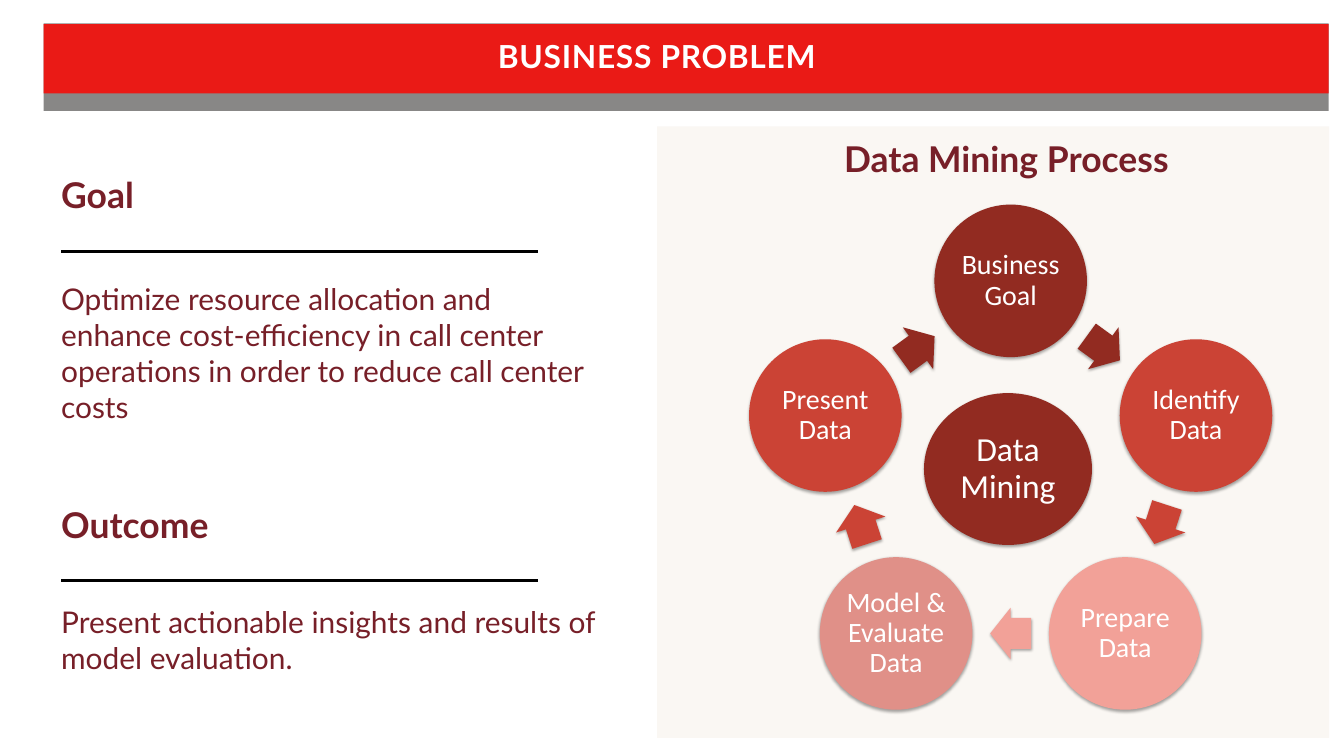
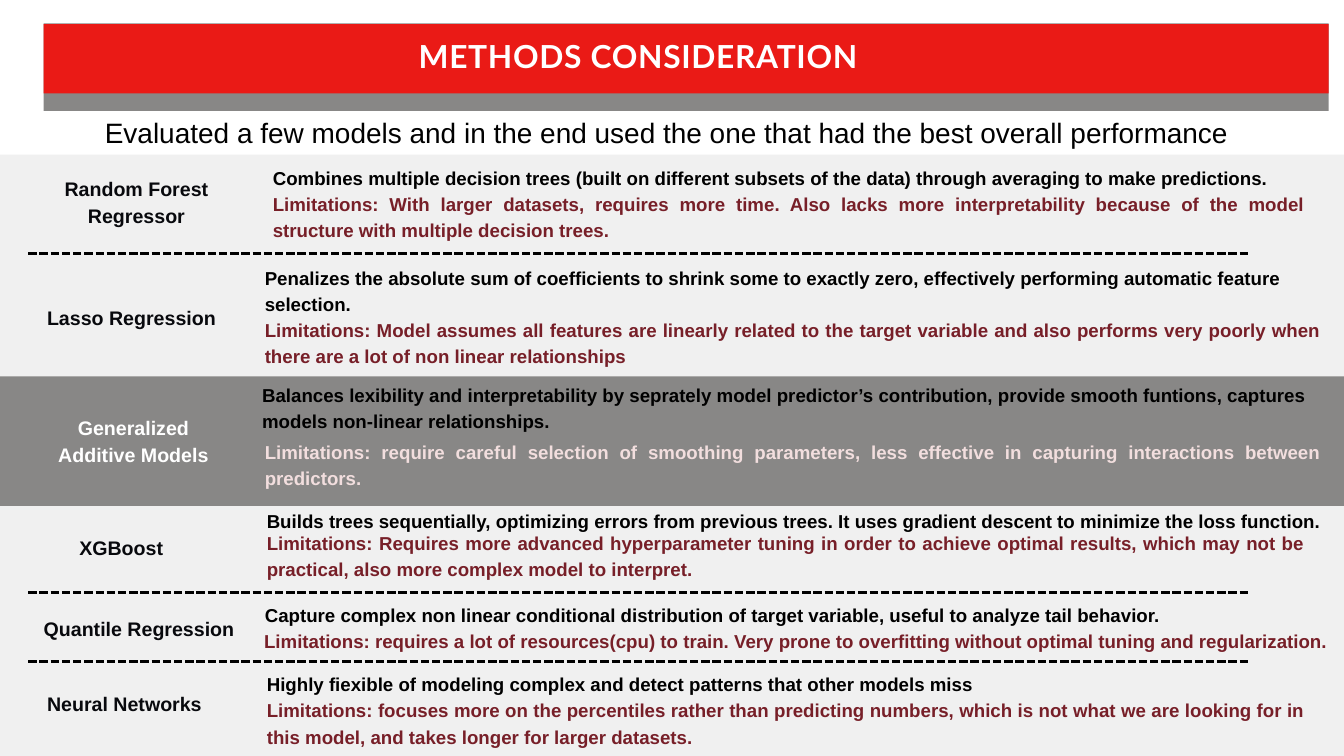
from dataclasses import dataclass
from math import cos, radians, sin

from lxml import etree
from pptx import Presentation
from pptx import util as u
from pptx.dml.color import RGBColor
from pptx.enum import dml, shapes, text
from pptx.oxml import ns

Inches, Pt = u.Inches, u.Pt
RED, GRAY, WHITE, BLACK = "EA1A16", "888786", "FFFFFF", "000000"
MAROON, CREAM, PALE, INK, BLUSH = "771F28", "FAF7F3", "F0F0F0", "08090D", "F2DEDE"
BRICK, CORAL, SALMON, ROSE = "922B21", "CB4335", "F2A198", "E09088"
LEFT, CENTER, JUSTIFY = text.PP_ALIGN.LEFT, text.PP_ALIGN.CENTER, text.PP_ALIGN.JUSTIFY


@dataclass
class Method:
    top: float
    name: str
    name_box: tuple
    summary: str
    summary_box: tuple
    limits: str
    limits_box: tuple
    chosen: bool = False
    rule_above: bool = True


METHODS = [
    Method(2.3, "Random Forest Regressor", (0.95, 0.27, 2.16, 0.85),
           "Combines multiple decision trees (built on different subsets of the data) "
           "through averaging to make predictions.", (4.06, 0.12, 15.13, 0.41),
           "Limitations: With larger datasets, requires more time. Also lacks more "
           "interpretability because of the model structure with multiple decision trees.",
           (4.06, 0.51, 15.36, 0.8), rule_above=False),
    Method(3.77, "Lasso Regression", (0.7, 0.73, 2.67, 0.44),
           "Penalizes the absolute sum of coefficients to shrink some to exactly zero, "
           "effectively performing automatic feature selection.", (3.94, 0.14, 15.44, 0.8),
           "Limitations: Model assumes all features are linearly related to the target variable "
           "and also performs very poorly when there are a lot of non linear relationships",
           (3.94, 0.92, 15.72, 0.8)),
    Method(5.6, "Generalized Additive Models", (0.65, 0.53, 2.67, 0.85),
           "Balances lexibility and interpretability by seprately model predictor’s contribution, "
           "provide smooth funtions, captures models non-linear relationships.",
           (3.9, 0.05, 15.82, 0.8),
           "Limitations: require careful selection of smoothing parameters, less effective in "
           "capturing interactions between predictors.",
           (3.94, 0.9, 15.72, 0.8), chosen=True, rule_above=False),
    Method(7.53, "XGBoost", (1.18, 0.39, 1.62, 0.44),
           "Builds trees sequentially, optimizing errors from previous trees. It uses gradient "
           "descent to minimize the loss function.", (3.97, 0, 15.8, 0.41),
           "Limitations: Requires more advanced hyperparameter tuning in order to achieve optimal "
           "results, which may not be practical, also more complex model to interpret.",
           (3.97, 0.33, 15.45, 0.8), rule_above=False),
    Method(8.82, "Quantile Regression", (0.65, 0.3, 3.79, 0.44),
           "Capture complex non linear conditional distribution of target variable, useful to "
           "analyze tail behavior.", (3.94, 0.11, 14.89, 0.41),
           "Limitations: requires a lot of resources(cpu) to train. Very prone to overfitting "
           "without optimal tuning and regularization.", (3.93, 0.5, 15.89, 0.41)),
    Method(9.84, "Neural Networks", (0.7, 0.4, 3.79, 0.44),
           "Highly fiexible of modeling complex and detect patterns that other models miss",
           (3.97, 0.12, 14.89, 0.41),
           "Limitations: focuses more on the percentiles rather than predicting numbers, which is "
           "not what we are looking for in this model, and takes longer for larger datasets.",
           (3.97, 0.51, 15.45, 0.8)),
]

STEPS = [
    ("Business Goal", BRICK, BRICK),
    ("Identify Data", CORAL, CORAL),
    ("Prepare Data", SALMON, SALMON),
    ("Model & Evaluate Data", ROSE, CORAL),
    ("Present Data", CORAL, BRICK),
]


def color(value):
    return RGBColor.from_string(value)


def add_filled(slide, kind, box, fill):
    shape = slide.shapes.add_shape(kind, *map(Inches, box))
    shape.shadow.inherit = False
    shape.fill.solid()
    shape.fill.fore_color.rgb = color(fill)
    shape.line.fill.background()
    return shape


def add_band(slide, box, fill):
    return add_filled(slide, shapes.MSO_SHAPE.RECTANGLE, box, fill)


def add_soft_shadow(shape):
    effects = shape._element.spPr.find(ns.qn("a:effectLst"))
    shadow = etree.SubElement(effects, ns.qn("a:outerShdw"), blurRad=str(Pt(3.1)),
                              dist=str(Pt(1.8)), dir="5400000", rotWithShape="0")
    tint = etree.SubElement(shadow, ns.qn("a:srgbClr"), val=BLACK)
    etree.SubElement(tint, ns.qn("a:alpha"), val="35000")


def fill_frame(frame, words, font, size, ink, inset=0, bold=False, align=LEFT, spacing=None):
    frame.word_wrap = True
    frame.margin_left = frame.margin_right = Inches(inset)
    frame.margin_top = frame.margin_bottom = Inches(inset)
    paragraph = frame.paragraphs[0]
    paragraph.add_run().text = words
    paragraph.alignment = align
    paragraph.line_spacing = spacing
    paragraph.font.name = font
    paragraph.font.size = Pt(size)
    paragraph.font.bold = bold
    paragraph.font.color.rgb = color(ink)
    return paragraph


def add_text(slide, box, words, font, size, ink, leading, bold=False, align=LEFT):
    frame = slide.shapes.add_textbox(*map(Inches, box)).text_frame
    frame.auto_size = text.MSO_AUTO_SIZE.SHAPE_TO_FIT_TEXT
    return fill_frame(frame, words, font, size, ink, 0, bold, align, Pt(leading))


def add_heading(slide, box, words):
    add_text(slide, box, words, "Lato", 38, MAROON, 45.6, bold=True)


def add_rule(slide, left, top, width, dash=None):
    rule = slide.shapes.add_connector(shapes.MSO_CONNECTOR.STRAIGHT, Inches(left), Inches(top),
                                      Inches(left + width), Inches(top))
    rule.line.color.rgb = color(BLACK)
    rule.line.width = Pt(3)
    if dash:
        rule.line.dash_style = dash
    etree.SubElement(rule._element.spPr, ns.qn("a:effectLst"))


def add_header(slide, box, title, title_left, title_width):
    left, top, width, height = box
    add_band(slide, box, GRAY)
    add_band(slide, (left, top + 0.01, width, height - 0.27), RED)
    paragraph = add_text(slide, (title_left, top + 0.33, title_width, 0.48), title,
                         "Lato", 34, WHITE, 31.3, bold=True)
    paragraph.runs[0].font._element.set("spc", "80")


def add_statement(slide, box, heading, words, rule_gap, words_gap):
    left, top, width, height = box
    add_heading(slide, (left, top, width, 0.64), heading)
    add_rule(slide, left, top + rule_gap, 7.1)
    add_text(slide, (left, top + words_gap, width, height - words_gap), words,
             "Lato", 32, MAROON, 38.4)


def add_disc(slide, center_x, center_y, width, height, words, size, fill, inset):
    box = (center_x - width / 2, center_y - height / 2, width, height)
    disc = add_filled(slide, shapes.MSO_SHAPE.OVAL, box, fill)
    add_soft_shadow(disc)
    disc.text_frame.vertical_anchor = text.MSO_ANCHOR.MIDDLE
    fill_frame(disc.text_frame, words, "Calibri", size, WHITE, inset, align=CENTER, spacing=0.9)


def add_step_arrow(slide, center_x, center_y, angle, fill):
    width, height = 0.61, 0.77
    box = (center_x - width / 2, center_y - height / 2, width, height)
    arrow = add_filled(slide, shapes.MSO_SHAPE.RIGHT_ARROW, box, fill)
    arrow.adjustments[0], arrow.adjustments[1] = 0.6, 0.5
    arrow.rotation = angle
    add_soft_shadow(arrow)


def add_process(slide, box):
    left, top, width, height = box
    add_band(slide, box, CREAM)
    hub_x, hub_y, radius = left + 5.26, top + 5.2, 2.9
    turn = 360 / len(STEPS)
    arrow_radius = radius * cos(radians(turn / 2))

    def on_circle(distance, angle):
        return (hub_x + distance * sin(radians(angle)), hub_y - distance * cos(radians(angle)))

    for index, (words, fill, arrow_fill) in enumerate(STEPS):
        angle = index * turn
        add_disc(slide, *on_circle(radius, angle), 2.27, 2.27, words, 30, fill, 0.04)
        angle += turn / 2
        add_step_arrow(slide, *on_circle(arrow_radius, angle), angle, arrow_fill)
    add_disc(slide, left + 5.22, top + 5.1, 2.5, 2.26, "Data Mining", 36, BRICK, 0.02)
    add_heading(slide, (left + 2.78, top + 0.16, 5.35, 0.61), "Data Mining Process")


def add_method(slide, method):
    def placed(box):
        left, offset, width, height = box
        return left, method.top + offset, width, height

    if method.rule_above:
        add_rule(slide, 0.42, method.top, 18.18, dml.MSO_LINE.SQUARE_DOT)
    name_align = CENTER if method.name_box[3] > 0.5 else JUSTIFY
    add_text(slide, placed(method.name_box), method.name, "Arial", 21,
             WHITE if method.chosen else INK, 29.4, bold=True, align=name_align)
    add_text(slide, placed(method.summary_box), method.summary, "Arial", 20, BLACK, 28, bold=True)
    add_text(slide, placed(method.limits_box), method.limits, "Arial", 20,
             BLUSH if method.chosen else MAROON, 28, bold=True, align=JUSTIFY)


def add_methods(slide, box):
    left, top, width, height = box
    add_band(slide, box, PALE)
    for method, following in zip(METHODS, METHODS[1:]):
        if method.chosen:
            add_band(slide, (left, method.top, width, following.top - method.top), GRAY)
    for method in METHODS:
        add_method(slide, method)


def main():
    presentation = Presentation()
    presentation.slide_width, presentation.slide_height = Inches(20), Inches(11.25)
    blank = presentation.slide_layouts[6]
    header_box = (0.65, 0.35, 19.12, 1.3)

    problem = presentation.slides.add_slide(blank)
    add_header(problem, header_box, "BUSINESS PROBLEM", 7.41, 5.95)
    add_statement(problem, (0.91, 2.58, 8.04, 3.73), "Goal",
                  "Optimize resource allocation and enhance cost-efficiency in call center "
                  "operations in order to reduce call center costs", 1.16, 1.6)
    add_statement(problem, (0.91, 7.48, 8.04, 2.57), "Outcome",
                  "Present actionable insights and results of model evaluation.", 1.16, 1.5)
    add_process(problem, (9.78, 1.88, 10, 9.1))

    consideration = presentation.slides.add_slide(blank)
    add_methods(consideration, (0, 2.3, 20, 8.95))
    add_header(consideration, header_box, "METHODS CONSIDERATION", 6.23, 7.96)
    add_text(consideration, (1.56, 1.63, 16.88, 0.61),
             "Evaluated a few models and in the end used the one that had the best overall "
             "performance", "Arial", 30, BLACK, 42, align=JUSTIFY)

    presentation.save("out.pptx")


if __name__ == "__main__":
    main()
